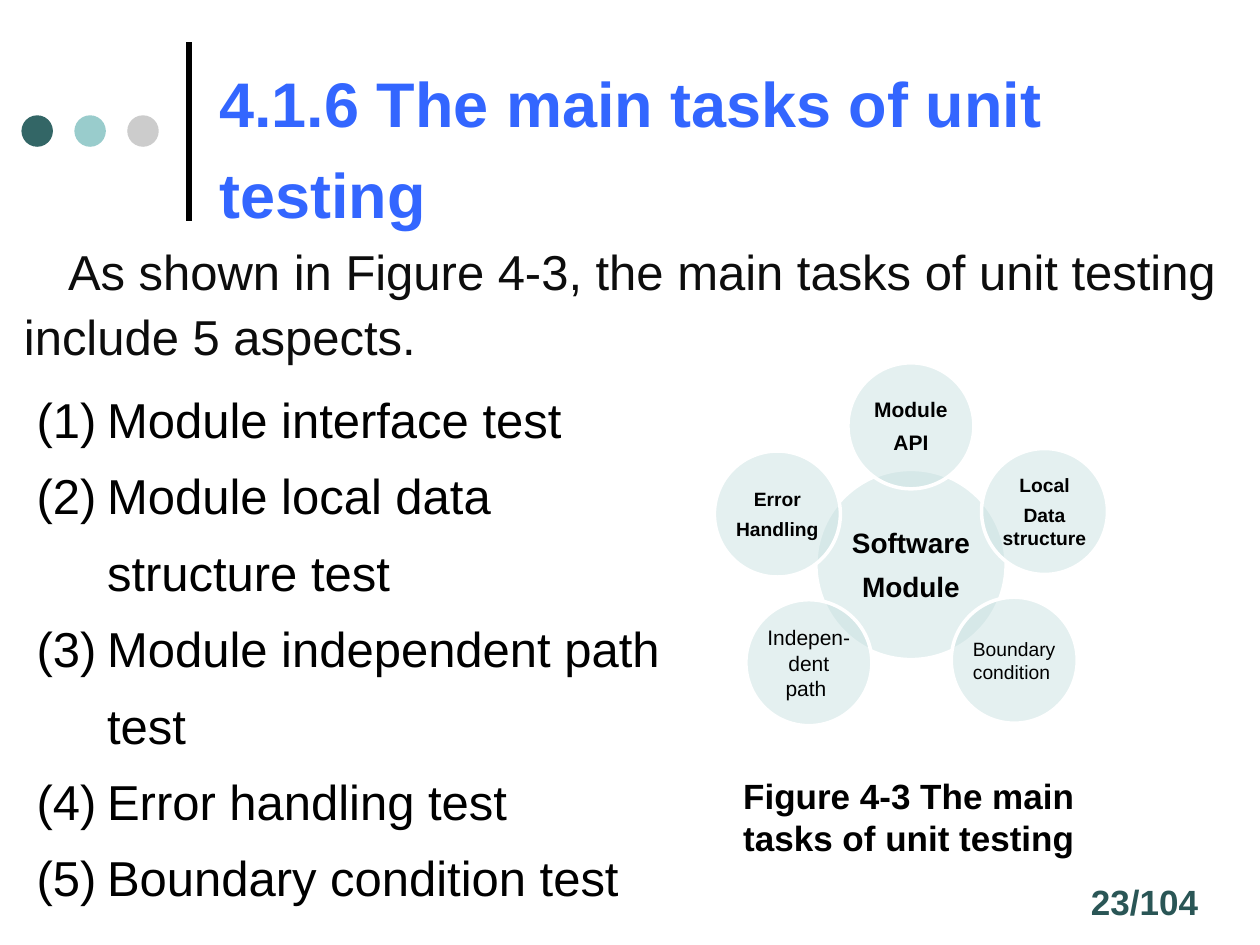
import pptx
import pptx.dml.color
import pptx.enum.shapes
import pptx.enum.text
import pptx.oxml
import pptx.oxml.ns
import pptx.util

COLORS = {
    "black": "000000", "white": "FFFFFF", "title": "3366FF", "body": "0D0D0D",
    "teal": "336666", "aqua": "99CCCC", "gray": "CCCCCC", "bubble": "CAE2E2",
    "number": "2A5656",
}
COLUMNS, ROWS = 100, 75
ALIGN = pptx.enum.text.PP_ALIGN
ANCHOR = pptx.enum.text.MSO_ANCHOR
NAMESPACE = pptx.oxml.ns.nsdecls("a")


def rgb(name):
    return pptx.dml.color.RGBColor.from_string(COLORS[name])


def write_text(frame, text, size=20, color="black", bold=False, align=ALIGN.LEFT,
               anchor=ANCHOR.TOP, inset=None, line_spacing=1.0, space_after=0,
               margin=0, indent=0, numbered=False):
    frame.word_wrap = True
    frame.auto_size = pptx.enum.text.MSO_AUTO_SIZE.NONE
    frame.vertical_anchor = anchor
    if inset is not None:
        frame.margin_left = frame.margin_right = pptx.util.Inches(inset)
        frame.margin_top = frame.margin_bottom = pptx.util.Inches(inset)
    for index, line in enumerate(text.split("\n")):
        paragraph = frame.paragraphs[0] if index == 0 else frame.add_paragraph()
        paragraph.alignment = align
        paragraph.line_spacing = line_spacing
        paragraph.space_before = pptx.util.Pt(0)
        paragraph.space_after = pptx.util.Pt(space_after)
        properties = paragraph._p.get_or_add_pPr()
        properties.set("marL", str(pptx.util.Inches(margin)))
        properties.set("indent", str(pptx.util.Inches(indent)))
        if numbered:
            properties.append(pptx.oxml.parse_xml(
                f'<a:buAutoNum {NAMESPACE} type="arabicParenBoth"/>'))
        run = paragraph.add_run()
        run.text = line
        run.font.name = "Arial"
        run.font.size = pptx.util.Pt(size)
        run.font.bold = bold
        run.font.color.rgb = rgb(color)


class SlideBuilder:
    def __init__(self, presentation):
        self.column = presentation.slide_width / COLUMNS
        self.row = presentation.slide_height / ROWS
        self.slide = presentation.slides.add_slide(presentation.slide_layouts[1])

    def area(self, left, top, width, height):
        return (int(left * self.column), int(top * self.row),
                int(width * self.column), int(height * self.row))

    def placeholder(self, index, area, text, **style):
        shape = self.slide.placeholders[index]
        shape.left, shape.top, shape.width, shape.height = self.area(*area)
        write_text(shape.text_frame, text, **style)

    def text(self, area, text, **style):
        shape = self.slide.shapes.add_textbox(*self.area(*area))
        write_text(shape.text_frame, text, **style)

    def circle(self, center, diameter, color):
        left, top = (value - diameter / 2 for value in center)
        shape = self.slide.shapes.add_shape(
            pptx.enum.shapes.MSO_SHAPE.OVAL,
            *self.area(left, top, diameter, diameter))
        shape.shadow.inherit = False
        shape.fill.solid()
        shape.fill.fore_color.rgb = rgb(color)
        shape.line.fill.background()
        return shape

    def bubble(self, center, diameter, text, size, bold=True):
        shape = self.circle(center, diameter, "bubble")
        fill = shape._element.spPr.find(pptx.oxml.ns.qn("a:solidFill"))
        fill[0].append(pptx.oxml.parse_xml(f'<a:alpha {NAMESPACE} val="50000"/>'))
        shape.line.color.rgb = rgb("white")
        shape.line.width = pptx.util.Pt(2)
        write_text(shape.text_frame, text, size=size, bold=bold, inset=0.02,
                   align=ALIGN.CENTER, anchor=ANCHOR.MIDDLE,
                   space_after=0.35 * size)

    def vertical_line(self, column, top, bottom, width):
        x, y, _, height = self.area(column, top, 0, bottom - top)
        line = self.slide.shapes.add_connector(
            pptx.enum.shapes.MSO_CONNECTOR.STRAIGHT, x, y + height, x, y)
        line.line.color.rgb = rgb("black")
        line.line.width = pptx.util.Pt(width)
        line._element.spPr.append(
            pptx.oxml.parse_xml(f"<a:effectLst {NAMESPACE}/>"))


def main():
    presentation = pptx.Presentation()
    presentation.slide_width = pptx.util.Inches(10)
    presentation.slide_height = pptx.util.Inches(7.5)
    builder = SlideBuilder(presentation)

    builder.vertical_line(15, 3.3, 17.5, width=3)
    for position, color in enumerate(("teal", "aqua", "gray")):
        builder.circle((2.95 + 4.2 * position, 10.4), 2.5, color)

    builder.placeholder(
        0, (16.4, 5.6, 81.2, 11.1), "4.1.6 The main tasks of unit testing",
        size=36, color="title", bold=True, anchor=ANCHOR.MIDDLE, line_spacing=1.2)
    builder.text(
        (1.9, 18.7, 96.2, 10.3),
        "As shown in Figure 4-3, the main tasks of unit testing include 5 aspects.",
        size=28, color="body", inset=0, line_spacing=1.1, indent=0.35)
    builder.placeholder(
        1, (1.9, 29, 53.7, 43.9),
        "Module interface test\nModule local data structure test\n"
        "Module independent path test\nError handling test\n"
        "Boundary condition test",
        size=28, line_spacing=1.3, margin=0.56, indent=-0.56, numbered=True)

    builder.bubble((72.3, 44.8), 15.1, "Software\nModule", 16)
    tasks = [
        ((72.3, 33.8), "Module\nAPI", 12, True),
        ((82.9, 40.6), "Local\nData structure", 11, True),
        ((80.5, 52.4), "Boundary condition ", 11, False),
        ((64.2, 52.6), "Indepen-dent path ", 12, False),
        ((61.7, 40.8), "Error\nHandling", 11, True),
    ]
    for center, label, size, bold in tasks:
        builder.bubble(center, 10, label, size, bold)

    builder.text((58, 61, 34.9, 7.7), "Figure 4-3 The main tasks of unit testing",
                 bold=True)
    builder.text((85.6, 69.4, 13.3, 5), "23/104", color="number", bold=True)
    presentation.save("out.pptx")


if __name__ == "__main__":
    main()
